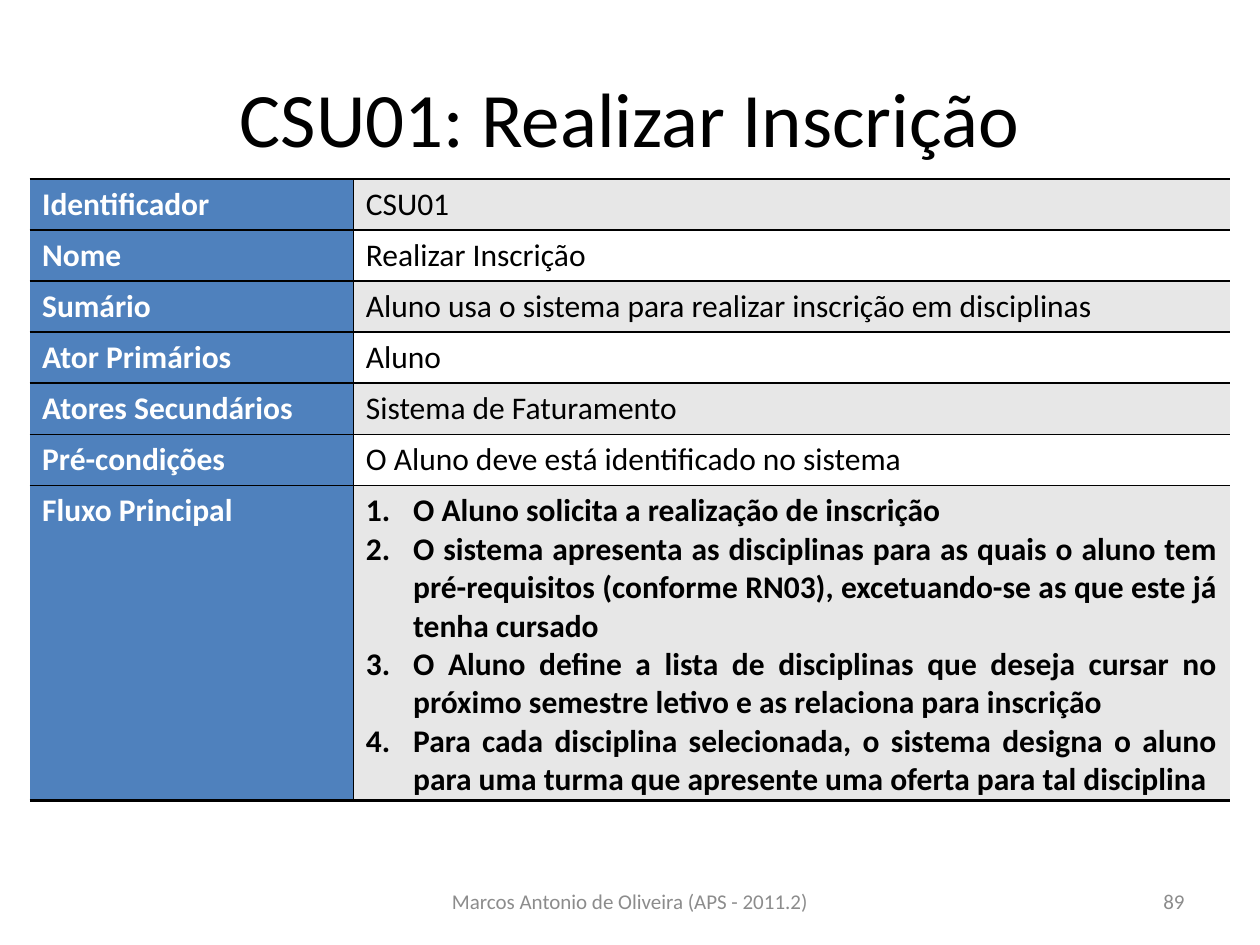
from dataclasses import dataclass

from lxml import etree
from pptx import Presentation
from pptx import util as u
from pptx.dml.color import RGBColor
from pptx.enum import text
from pptx.oxml import ns


@dataclass(frozen=True)
class Theme:
    """Colours, font and type sizes of the slide."""
    font: str = "Calibri"
    ink: str = "000000"
    paper: str = "FFFFFF"
    label: str = "4F81BD"
    band: str = "E7E7E7"
    muted: str = "8C8C8C"
    title: int = 44
    body: int = 18
    footer: int = 12


THEME = Theme()
ROWS = [
    ("Identificador", ["CSU01"]),
    ("Nome", ["Realizar Inscrição"]),
    ("Sumário", ["Aluno usa o sistema para realizar inscrição em disciplinas"]),
    ("Ator Primários", ["Aluno"]),
    ("Atores Secundários", ["Sistema de Faturamento"]),
    ("Pré-condições", ["O Aluno deve está identificado no sistema"]),
    ("Fluxo Principal", [
        "O Aluno solicita a realização de inscrição",
        "O sistema apresenta as disciplinas para as quais o aluno tem "
        "pré-requisitos (conforme RN03), excetuando-se as que este já tenha cursado",
        "O Aluno define a lista de disciplinas que deseja cursar no "
        "próximo semestre letivo e as relaciona para inscrição",
        "Para cada disciplina selecionada, o sistema designa o aluno "
        "para uma turma que apresente uma oferta para tal disciplina",
    ]),
]


def place(shape, left, top, width, height):
    """Move and size a shape in points."""
    frame = {"left": left, "top": top, "width": width, "height": height}
    for name, value in frame.items():
        setattr(shape, name, u.Pt(value))


def write(para, words, size, color, align, bold=False):
    """Write one formatted run into a paragraph."""
    para.alignment = align
    span = para.add_run()
    span.text = words
    formats = {"name": THEME.font, "size": u.Pt(size), "bold": bold}
    for name, value in formats.items():
        setattr(span.font, name, value)
    span.font.color.rgb = RGBColor.from_string(color)


def add_title(page, words):
    """Fill the title placeholder."""
    title = page.shapes.title
    place(title, 36, 21.6, 648, 90)
    title.text_frame.vertical_anchor = text.MSO_ANCHOR.MIDDLE
    write(title.text_frame.paragraphs[0], words, THEME.title, THEME.ink,
          text.PP_ALIGN.CENTER)


def add_footer(page, words, left, width, align):
    """Add a muted text box at the foot of the page."""
    box = page.shapes.add_textbox(0, 0, 0, 0)
    place(box, left, 500.5, width, 28.75)
    formats = {"word_wrap": True, "vertical_anchor": text.MSO_ANCHOR.MIDDLE}
    for name, value in formats.items():
        setattr(box.text_frame, name, value)
    write(box.text_frame.paragraphs[0], words, THEME.footer, THEME.muted, align)


def set_borders(cell, widths):
    """Draw the left, right, top and bottom borders, where zero means none."""
    props = cell._tc.get_or_add_tcPr()
    for index, (side, width) in enumerate(zip("LRTB", widths)):
        line = etree.Element(ns.qn(f"a:ln{side}"), w=str(u.Pt(width)))
        if width:
            fill = etree.SubElement(line, ns.qn("a:solidFill"))
            etree.SubElement(fill, ns.qn("a:srgbClr"), val=THEME.ink)
        else:
            etree.SubElement(line, ns.qn("a:noFill"))
        props.insert(index, line)


def number(para):
    """Turn a paragraph into a numbered item with a hanging indent."""
    props = para._p.get_or_add_pPr()
    indent = u.Pt(27)
    props.set("marL", str(indent))
    props.set("indent", str(-indent))
    etree.SubElement(props, ns.qn("a:buFont"), typeface="+mj-lt")
    etree.SubElement(props, ns.qn("a:buAutoNum"), type="arabicPeriod")


def fill_cell(cell, lines, fill, color, align, bold):
    """Colour a cell and write its lines, numbered when there are several."""
    cell.fill.solid()
    cell.fill.fore_color.rgb = RGBColor.from_string(fill)
    frame = cell.text_frame
    for index, words in enumerate(lines):
        para = frame.add_paragraph() if index else frame.paragraphs[0]
        write(para, words, THEME.body, color, align, bold)
        if len(lines) > 1:
            number(para)


def add_use_case(page, rows):
    """Add the use case table with a label column and banded values."""
    holder = page.shapes.add_table(len(rows), 2, u.Pt(16.9), u.Pt(102.2),
                                   u.Pt(686), u.Pt(355))
    table = holder.table
    table.first_row = table.horz_banding = False
    for column, width in zip(table.columns, (185, 501)):
        column.width = u.Pt(width)
    for index, (label, lines) in enumerate(rows):
        last = index == len(rows) - 1
        table.rows[index].height = u.Pt(180 if last else 29.2)
        name, value = table.cell(index, 0), table.cell(index, 1)
        fill_cell(name, [label], THEME.label, THEME.paper,
                  text.PP_ALIGN.LEFT, True)
        fill_cell(value, lines, THEME.paper if index % 2 else THEME.band,
                  THEME.ink, text.PP_ALIGN.JUSTIFY, last)
        bottom = 2 if last else 1
        set_borders(name, (0, 1, 1, bottom))
        set_borders(value, (1, 0, 1, bottom))


def main():
    """Build and save the slide."""
    deck = Presentation()
    deck.slide_width, deck.slide_height = u.Pt(720), u.Pt(540)
    page = deck.slides.add_slide(deck.slide_layouts[5])
    add_title(page, "CSU01: Realizar Inscrição")
    add_footer(page, "Marcos Antonio de Oliveira (APS - 2011.2)", 246, 228,
               text.PP_ALIGN.CENTER)
    add_footer(page, "89", 516, 168, text.PP_ALIGN.RIGHT)
    add_use_case(page, ROWS)
    deck.save("out.pptx")


if __name__ == "__main__":
    main()
